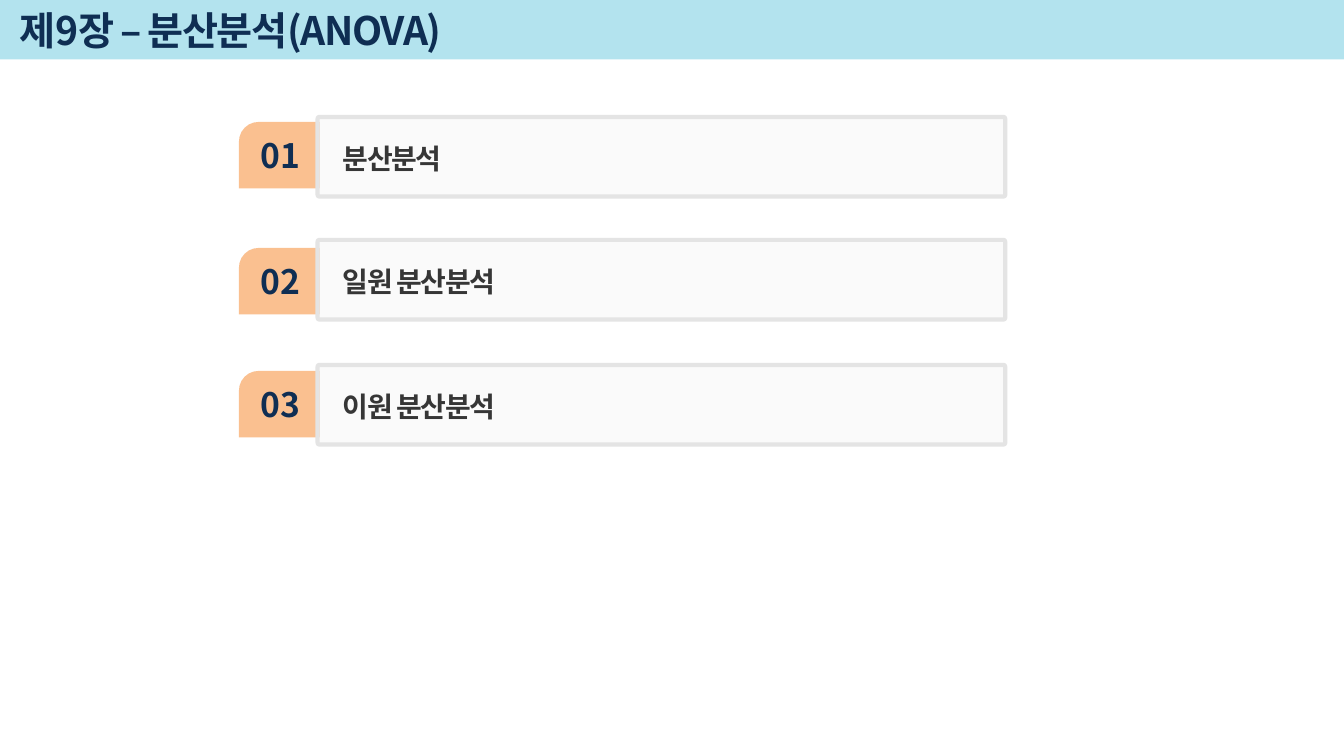
from lxml.etree import SubElement
from pptx import Presentation
from pptx.dml.color import RGBColor
from pptx.enum.shapes import MSO_SHAPE as Shape
from pptx.enum.text import MSO_ANCHOR as Anchor, MSO_AUTO_SIZE as AutoSize, PP_ALIGN as Align
from pptx.oxml.ns import qn
from pptx.util import Inches, Pt

TITLE = "제9장 – 분산분석(ANOVA)"
# number, topic, top of the panel, top of the number tab
CHAPTERS = [
    ("01", "분산분석", 1.16, 1.21),
    ("02", "일원 분산분석", 2.38, 2.46),
    ("03", "이원 분산분석", 3.62, 3.68),
]
FONT = "Noto Sans CJK KR"
COLORS = {
    "band": "B3E3EE",
    "tab": "FAC090",
    "panel": "F2F2F2",
    "border": "E4E4E4",
    "navy": "0F2E53",
    "charcoal": "363636",
}
PANEL_OPACITY = 33
TITLE_FRAME = {"word_wrap": True, "vertical_anchor": Anchor.MIDDLE}
NUMBER_FRAME = {"word_wrap": False, "auto_size": AutoSize.SHAPE_TO_FIT_TEXT}
TOPIC_FRAME = {"word_wrap": True, "auto_size": AutoSize.SHAPE_TO_FIT_TEXT}
NUMBER_PARAGRAPH = {"alignment": Align.CENTER}
TOPIC_PARAGRAPH = {"line_spacing": 1.1, "space_before": Pt(18), "space_after": Pt(3)}


def color(name):
    return RGBColor.from_string(COLORS[name])


def set_attributes(target, values):
    for name, value in values.items():
        setattr(target, name, value)


def add_block(shapes, kind, box, fill, adjustments=()):
    shape = shapes.add_shape(kind, *map(Inches, box))
    shape.shadow.inherit = False
    shape.fill.solid()
    shape.fill.fore_color.rgb = color(fill)
    shape.line.fill.background()
    for index, value in enumerate(adjustments):
        shape.adjustments[index] = value
    return shape


def add_panel(shapes, box):
    """Add a see-through panel with a grey border."""
    panel = add_block(shapes, Shape.ROUNDED_RECTANGLE, box, "panel", [0.023])
    panel.line.color.rgb = color("border")
    panel.line.width = Pt(3)
    fill_color = panel.fill._xPr.find(qn("a:solidFill"))[0]
    SubElement(fill_color, qn("a:alpha"), val=str(PANEL_OPACITY * 1000))


def add_text(shapes, text, box, size, font_color, frame_format, paragraph_format, spacing=0):
    """Add one bold line; spacing is the letter spacing in points."""
    frame = shapes.add_textbox(*map(Inches, box)).text_frame
    set_attributes(frame, frame_format)
    paragraph = frame.paragraphs[0]
    set_attributes(paragraph, paragraph_format)
    run = paragraph.add_run()
    run.text = text
    set_attributes(run.font, {"name": FONT, "size": Pt(size), "bold": True})
    run.font.color.rgb = color(font_color)
    properties = run._r.get_or_add_rPr()
    SubElement(properties, qn("a:ea"), typeface=FONT)
    if spacing:
        properties.set("spc", str(spacing * 100))


def add_chapter(slide, number, topic, panel_top, tab_top):
    shapes = slide.shapes.add_group_shape().shapes
    add_block(shapes, Shape.SNIP_ROUND_RECTANGLE, (2.37, tab_top, 0.8, 0.66), "tab", [0.296, 0])
    add_text(shapes, number, (2.49, tab_top + 0.08, 0.59, 0.5), 24, "navy",
             NUMBER_FRAME, NUMBER_PARAGRAPH)
    add_panel(shapes, (3.15, panel_top, 6.82, 0.79))
    add_text(shapes, topic, (3.3, panel_top + 0.16, 5.28, 0.44), 20, "charcoal",
             TOPIC_FRAME, TOPIC_PARAGRAPH, spacing=-1)


def main():
    presentation = Presentation()
    presentation.slide_width = Inches(13.33)
    presentation.slide_height = Inches(7.5)
    slide = presentation.slides.add_slide(presentation.slide_layouts[6])
    add_block(slide.shapes, Shape.RECTANGLE, (0, -0.02, 13.33, 0.61), "band")
    for chapter in CHAPTERS:
        add_chapter(slide, *chapter)
    add_text(slide.shapes, TITLE, (0.09, 0.04, 11.35, 0.52), 28, "navy",
             TITLE_FRAME, {}, spacing=-1)
    presentation.save("out.pptx")


if __name__ == "__main__":
    main()
